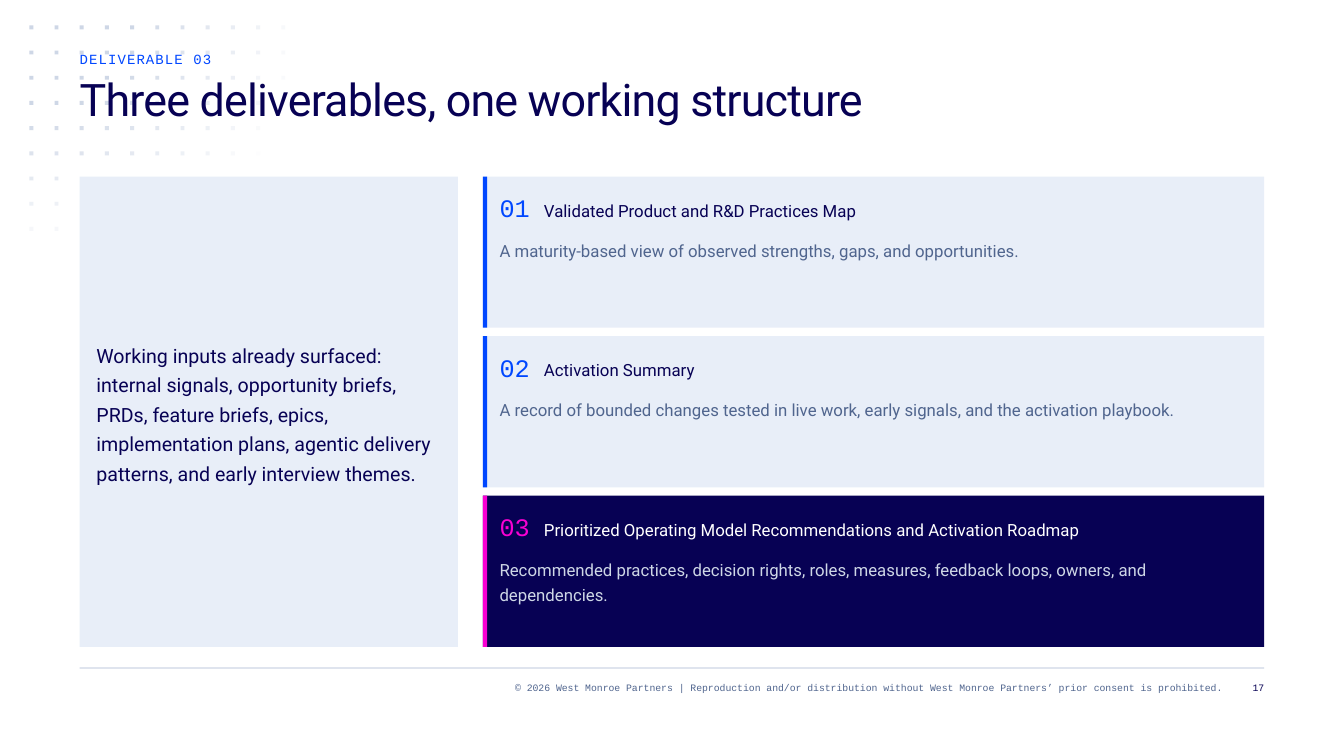
import math

import lxml.etree
import pptx
import pptx.dml.color
import pptx.enum.shapes
import pptx.enum.text
import pptx.oxml.ns
import pptx.util

Cm = pptx.util.Cm
Pt = pptx.util.Pt
RGBColor = pptx.dml.color.RGBColor
RIGHT = pptx.enum.text.PP_ALIGN.RIGHT

NAVY = RGBColor(0x07, 0x01, 0x54)
BLUE = RGBColor(0x00, 0x47, 0xFF)
PINK = RGBColor(0xF9, 0x00, 0xD3)
PALE = RGBColor(0xE8, 0xEE, 0xF8)
MIST = RGBColor(0xCE, 0xD7, 0xE6)
SLATE = RGBColor(0x50, 0x65, 0x8E)
WHITE = RGBColor(0xFF, 0xFF, 0xFF)

SANS = "Roboto"
MONO = "Courier New"

MARGIN = Cm(2.01)
CONTENT_WIDTH = Cm(29.85)
CONTENT_TOP = Cm(4.45)
CARD_LEFT = Cm(12.17)
CARD_WIDTH = Cm(19.69)
CARD_HEIGHT = Cm(3.81)
CARD_PITCH = Cm(4.02)
PADDING = Cm(0.42)

# number, heading, body, fill, accent, heading colour, body colour
DELIVERABLES = [
    ("01", "Validated Product and R&D Practices Map",
     "A maturity-based view of observed strengths, gaps, and opportunities.",
     PALE, BLUE, NAVY, SLATE),
    ("02", "Activation Summary",
     "A record of bounded changes tested in live work, early signals, "
     "and the activation playbook.",
     PALE, BLUE, NAVY, SLATE),
    ("03", "Prioritized Operating Model Recommendations and Activation Roadmap",
     "Recommended practices, decision rights, roles, measures, feedback loops, "
     "owners, and dependencies.",
     NAVY, PINK, WHITE, MIST),
]


def add_rectangle(shapes, left, top, width, height, color, opacity=100):
    shape = shapes.add_shape(
        pptx.enum.shapes.MSO_SHAPE.RECTANGLE, left, top, width, height)
    shape.shadow.inherit = False
    shape.line.fill.background()
    shape.fill.solid()
    shape.fill.fore_color.rgb = color
    if opacity < 100:
        color_element = shape.fill._xPr.find(".//" + pptx.oxml.ns.qn("a:srgbClr"))
        alpha = lxml.etree.SubElement(color_element, pptx.oxml.ns.qn("a:alpha"))
        alpha.set("val", str(opacity * 1000))
    return shape


def add_text(shapes, left, top, width, height, text, font, size, line, color,
             align=None, tracking=None):
    box = shapes.add_textbox(left, top, width, height)
    frame = box.text_frame
    frame.word_wrap = True
    frame.margin_left = frame.margin_right = 0
    frame.margin_top = frame.margin_bottom = 0
    paragraph = frame.paragraphs[0]
    paragraph.line_spacing = Pt(line)
    paragraph.alignment = align
    run = paragraph.add_run()
    run.text = text
    run.font.name = font
    run.font.size = Pt(size)
    run.font.color.rgb = color
    if tracking is not None:
        run.font._element.set("spc", str(round(tracking * 100)))
    return box


def add_dot_pattern(shapes):
    """Dots that fade with elliptical distance from the top left corner."""
    pitch = Cm(2.54) // 4
    for column in range(11):
        for row in range(9):
            under_panel = column >= 2 and row >= 6
            distance = math.hypot(column / 11.07, row / 9.08)
            opacity = min(100, round(154 * (1 - distance)))
            if opacity > 0 and not under_panel:
                add_rectangle(shapes, Cm(0.74) + column * pitch,
                              Cm(0.64) + row * pitch, Cm(0.1), Cm(0.1),
                              MIST, opacity)


def add_footer(shapes):
    add_rectangle(shapes, MARGIN, Cm(16.82), CONTENT_WIDTH, Cm(0.03), MIST)
    add_text(shapes, Cm(6.04), Cm(17.15), Cm(24.77), Cm(0.64),
             "© 2026 West Monroe Partners | Reproduction and/or distribution "
             "without West Monroe Partners’ prior consent is prohibited.",
             MONO, 7, 9, SLATE, RIGHT)
    add_text(shapes, Cm(31.01), Cm(17.15), Cm(0.85), Cm(0.64),
             "17", MONO, 7, 9, NAVY, RIGHT)


def add_deliverable(slide, top, number, heading, body, fill, accent,
                    heading_color, body_color):
    shapes = slide.shapes.add_group_shape().shapes
    text_left = CARD_LEFT + PADDING
    add_rectangle(shapes, CARD_LEFT, top, CARD_WIDTH, CARD_HEIGHT, fill)
    add_rectangle(shapes, CARD_LEFT, top, Cm(0.11), CARD_HEIGHT, accent)
    number_box = add_text(shapes, text_left, top + Cm(0.32), Cm(0.79), Cm(0.85),
                          number, MONO, 18, 24, accent)
    number_box.text_frame.word_wrap = False
    add_text(shapes, CARD_LEFT + Cm(1.54), top + Cm(0.47), Cm(17.83), Cm(0.64),
             heading, SANS, 12, 18, heading_color)
    add_text(shapes, text_left, top + Cm(1.48), Cm(18.95), Cm(1.27),
             body, SANS, 12, 18, body_color)


def add_inputs_panel(slide):
    shapes = slide.shapes.add_group_shape().shapes
    add_rectangle(shapes, MARGIN, CONTENT_TOP, Cm(9.53),
                  2 * CARD_PITCH + CARD_HEIGHT, PALE)
    add_text(shapes, MARGIN + PADDING, Cm(8.52), Cm(8.68), Cm(3.7),
             "Working inputs already surfaced: internal signals, opportunity "
             "briefs, PRDs, feature briefs, epics, implementation plans, agentic "
             "delivery patterns, and early interview themes.",
             SANS, 14, 21, NAVY)


def main():
    presentation = pptx.Presentation()
    presentation.slide_width = Cm(33.87)
    presentation.slide_height = Cm(19.05)
    slide = presentation.slides.add_slide(presentation.slide_layouts[6])

    # Background and footer
    add_dot_pattern(slide.shapes)
    add_footer(slide.shapes)

    # Deliverable cards and the inputs panel beside them
    for index, deliverable in enumerate(DELIVERABLES):
        add_deliverable(slide, CONTENT_TOP + index * CARD_PITCH, *deliverable)
    add_inputs_panel(slide)

    # Heading
    add_text(slide.shapes, MARGIN, Cm(1.9), Cm(26.04), Cm(2.54),
             "Three deliverables, one working structure",
             SANS, 32, 36, NAVY, tracking=-0.6)
    add_text(slide.shapes, MARGIN, Cm(1.27), Cm(26.04), Cm(0.64),
             "DELIVERABLE 03", MONO, 10, 12, BLUE, tracking=0.8)

    presentation.save("out.pptx")


if __name__ == "__main__":
    main()
